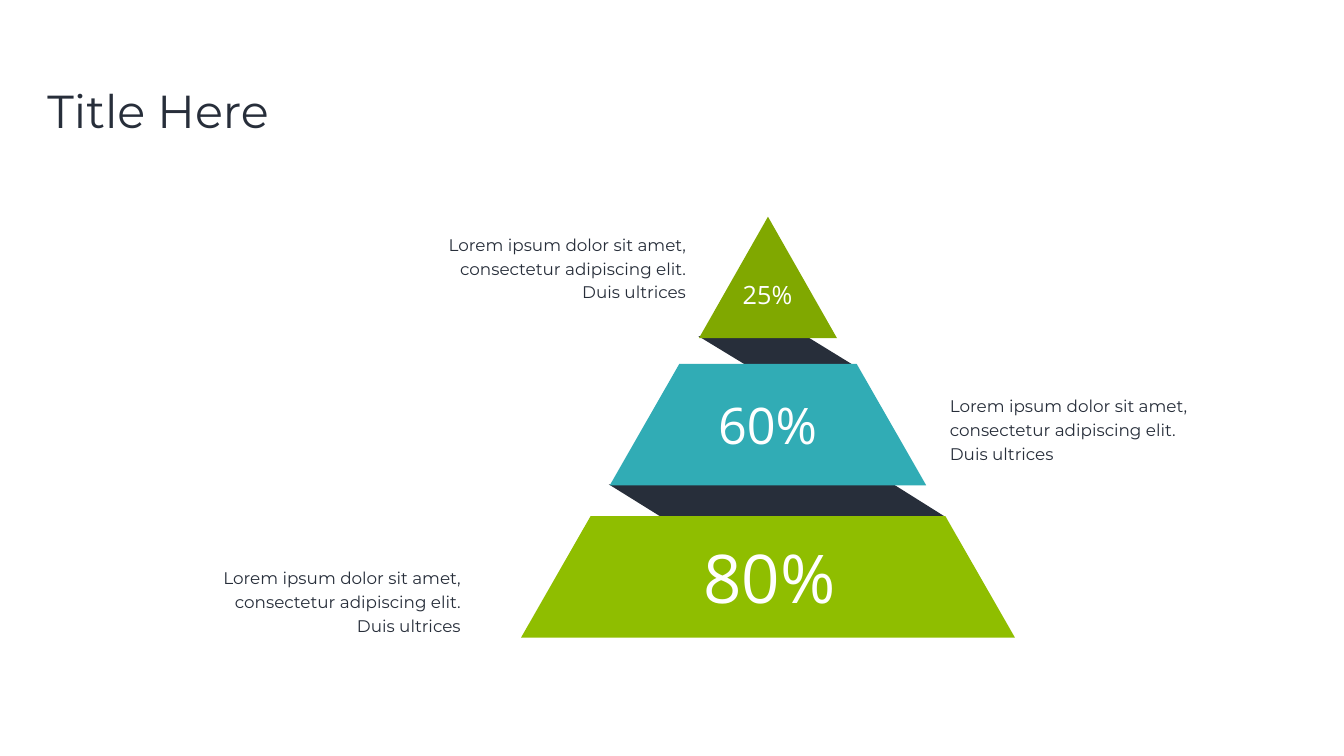
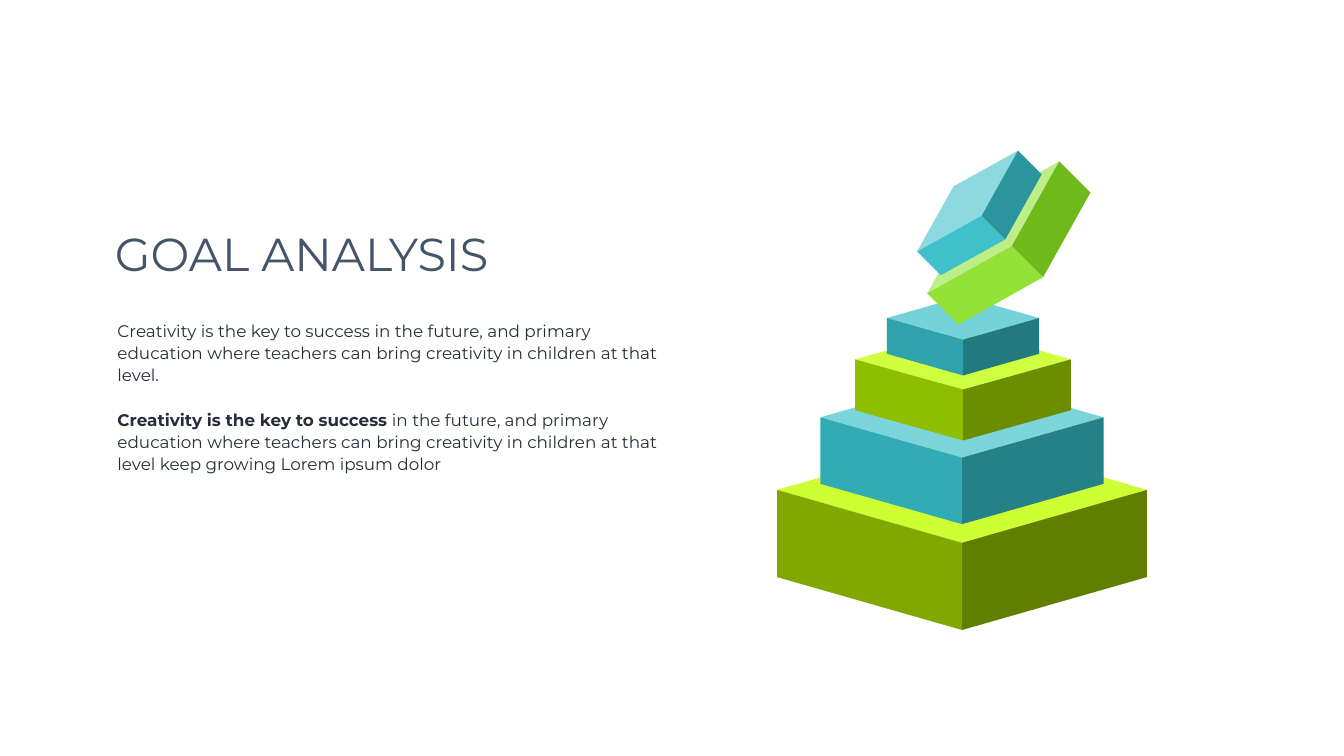
from dataclasses import dataclass

from pptx import Presentation
from pptx.dml.color import RGBColor
from pptx.enum.text import MSO_ANCHOR as Anchor
from pptx.enum.text import MSO_AUTO_SIZE as AutoSize
from pptx.enum.text import PP_ALIGN as Align
from pptx.util import Emu, Pt

EMU_PER_PX = 9144  # 100 px to the inch
TITLE_ONLY = 5

Point = tuple[int, int]
Box = tuple[int, int, int, int]
Runs = list[tuple[str, bool]]


@dataclass(frozen=True)
class Theme:
    # Colours
    white: str = "FFFFFF"
    ink: str = "272E3A"
    slate: str = "445469"
    teal: str = "31ACB5"
    lime: str = "8FBE00"
    olive: str = "80A800"
    # Fonts and type sizes
    text_font: str = "Montserrat"
    number_font: str = "Open Sans"
    title_size: int = 66
    body_size: int = 24
    number_sizes: tuple[int, int, int] = (36, 72, 96)
    # Cuboid shades: top, left, right
    olive_shades: tuple[str, str, str] = ("CEFF32", "80A800", "607E00")
    teal_shades: tuple[str, str, str] = ("7BD5DB", "31ACB5", "258188")
    lime_shades: tuple[str, str, str] = ("D0FF3F", "8FBE00", "6B8E00")
    sea_shades: tuple[str, str, str] = ("76D2D9", "2FA2AB", "237980")
    green_shades: tuple[str, str, str] = ("BEEE88", "93E238", "6FB91B")
    aqua_shades: tuple[str, str, str] = ("8CD9E0", "40C0CB", "2B949D")


THEME = Theme()


@dataclass(frozen=True)
class Tier:
    top: int
    top_half: int
    bottom_half: int
    color: str
    label: str
    label_box: Box
    label_size: int


@dataclass(frozen=True)
class Caption:
    box: Box
    align: Align


@dataclass(frozen=True)
class Cuboid:
    """Front corner of the top face and the three edges that leave it."""
    corner: Point
    left_edge: Point
    right_edge: Point
    depth_edge: Point
    shades: tuple[str, str, str]


def standing(center: int, rim: int, half: int, rise: int, height: int,
             shades: tuple[str, str, str]) -> Cuboid:
    return Cuboid((center, rim + rise), (-half, -rise), (half, -rise),
                  (0, height), shades)


# Pyramid slide
PYRAMID_CENTER = 1524
TIER_HEIGHT = 241
TIERS = [
    Tier(430, 0, 137, THEME.olive, "25%", (1464, 548, 118, 71), THEME.number_sizes[0]),
    Tier(722, 176, 314, THEME.teal, "60%", (1415, 777, 217, 131), THEME.number_sizes[1]),
    Tier(1024, 352, 490, THEME.lime, "80%", (1386, 1059, 282, 172), THEME.number_sizes[2]),
]
RIBBONS: list[list[Point]] = [
    [(1386, 667), (1600, 667), (1701, 729), (1488, 729)],
    [(1208, 961), (1773, 961), (1875, 1025), (1311, 1025)],
]
CAPTION_TEXT = "Lorem ipsum dolor sit amet, consectetur adipiscing elit. Duis ultrices"
CAPTIONS = [
    Caption((417, 1115, 507, 149), Align.RIGHT),
    Caption((1875, 773, 507, 149), Align.LEFT),
    Caption((864, 453, 507, 149), Align.RIGHT),
]

# Goal slide, from the lowest block to the highest
CUBOIDS = [
    standing(1909, 972, 367, 105, 173, THEME.olive_shades),
    standing(1909, 828, 281, 80, 132, THEME.teal_shades),
    standing(1911, 713, 214, 60, 101, THEME.lime_shades),
    standing(1911, 631, 151, 43, 71, THEME.sea_shades),
    Cuboid((2008, 488), (-168, 94), (94, -168), (62, 62), THEME.green_shades),
    Cuboid((1948, 428), (-128, 71), (72, -129), (47, 47), THEME.aqua_shades),
]
GOAL_PARAGRAPHS: list[Runs] = [
    [("Creativity is the key to success in the future, and primary education where "
      "teachers can bring creativity in children at that level.", False)],
    [("Creativity is the key to success ", True),
     ("in the future, and primary education where teachers can bring creativity in "
      "children at that level keep growing Lorem ipsum dolor", False)],
]


def px(value: int) -> Emu:
    return Emu(value * EMU_PER_PX)


def add(*points: Point) -> Point:
    return sum(x for x, _ in points), sum(y for _, y in points)


def write_text(shape, paragraphs: list[Runs], *, size: int, color: str = THEME.ink,
               font: str = THEME.text_font, align: Align = Align.LEFT,
               anchor: Anchor = Anchor.TOP, line_spacing=1.0, gap: int = 0,
               margins: Point = (10, 5), wrap: bool = True,
               auto_size: AutoSize = AutoSize.SHAPE_TO_FIT_TEXT) -> None:
    frame = shape.text_frame
    frame.word_wrap = wrap
    frame.auto_size = auto_size
    frame.vertical_anchor = anchor
    frame.margin_left = frame.margin_right = px(margins[0])
    frame.margin_top = frame.margin_bottom = px(margins[1])
    for index, runs in enumerate(paragraphs):
        paragraph = frame.add_paragraph() if index else frame.paragraphs[0]
        paragraph.alignment = align
        paragraph.line_spacing = line_spacing
        if index and gap:
            paragraph.space_before = Pt(gap)
        for text, bold in runs:
            run = paragraph.add_run()
            run.text = text
            run.font.name = font
            run.font.size = Pt(size)
            run.font.bold = bold
            run.font.color.rgb = RGBColor.from_string(color)


def add_text(shapes, box: Box, paragraphs: list[Runs], **text_format) -> None:
    write_text(shapes.add_textbox(*map(px, box)), paragraphs, **text_format)


def add_polygon(shapes, points: list[Point], color: str) -> None:
    builder = shapes.build_freeform(*points[0], scale=EMU_PER_PX)
    builder.add_line_segments(points[1:], close=True)
    shape = builder.convert_to_shape()
    shape.shadow.inherit = False
    shape.fill.solid()
    shape.fill.fore_color.rgb = RGBColor.from_string(color)
    shape.line.fill.background()


def add_titled_slide(presentation, title: str, box: Box, **text_format):
    slide = presentation.slides.add_slide(presentation.slide_layouts[TITLE_ONLY])
    placeholder = slide.shapes.title
    placeholder.left, placeholder.top, placeholder.width, placeholder.height = map(px, box)
    write_text(placeholder, [[(title, False)]], size=THEME.title_size,
               auto_size=AutoSize.NONE, **text_format)
    return slide


def add_tier(slide, tier: Tier) -> None:
    shapes = slide.shapes.add_group_shape().shapes
    bottom = tier.top + TIER_HEIGHT
    points = [(PYRAMID_CENTER - tier.top_half, tier.top),
              (PYRAMID_CENTER + tier.top_half, tier.top),
              (PYRAMID_CENTER + tier.bottom_half, bottom),
              (PYRAMID_CENTER - tier.bottom_half, bottom)]
    add_polygon(shapes, list(dict.fromkeys(points)), tier.color)
    add_text(shapes, tier.label_box, [[(tier.label, False)]], size=tier.label_size,
             color=THEME.white, font=THEME.number_font, align=Align.CENTER,
             anchor=Anchor.MIDDLE, wrap=False)


def add_cuboid(slide, cuboid: Cuboid) -> None:
    left, right, depth = cuboid.left_edge, cuboid.right_edge, cuboid.depth_edge
    faces = [(left, right), (left, depth), (right, depth)]
    for (first, second), color in zip(faces, cuboid.shades):
        corner = cuboid.corner
        add_polygon(slide.shapes, [corner, add(corner, first),
                                   add(corner, first, second), add(corner, second)], color)


def build_pyramid_slide(presentation) -> None:
    slide = add_titled_slide(presentation, "Title Here", (84, 170, 982, 154),
                             line_spacing=0.9)
    for ribbon in RIBBONS:
        add_polygon(slide.shapes, ribbon, THEME.ink)
    for tier in TIERS:
        add_tier(slide, tier)
    for caption in CAPTIONS:
        add_text(slide.shapes, caption.box, [[(CAPTION_TEXT, False)]],
                 size=THEME.body_size, align=caption.align, line_spacing=Pt(34))


def build_goal_slide(presentation) -> None:
    slide = add_titled_slide(presentation, "GOAL ANALYSIS", (208, 438, 1467, 131),
                             color=THEME.slate, margins=(20, 10))
    add_text(slide.shapes, (213, 622, 1121, 328), GOAL_PARAGRAPHS, size=THEME.body_size,
             line_spacing=1.1, gap=32, margins=(20, 10))
    for cuboid in CUBOIDS:
        add_cuboid(slide, cuboid)


def main() -> None:
    presentation = Presentation()
    presentation.slide_width = px(2667)
    presentation.slide_height = px(1500)
    build_pyramid_slide(presentation)
    build_goal_slide(presentation)
    presentation.save("out.pptx")


if __name__ == "__main__":
    main()
